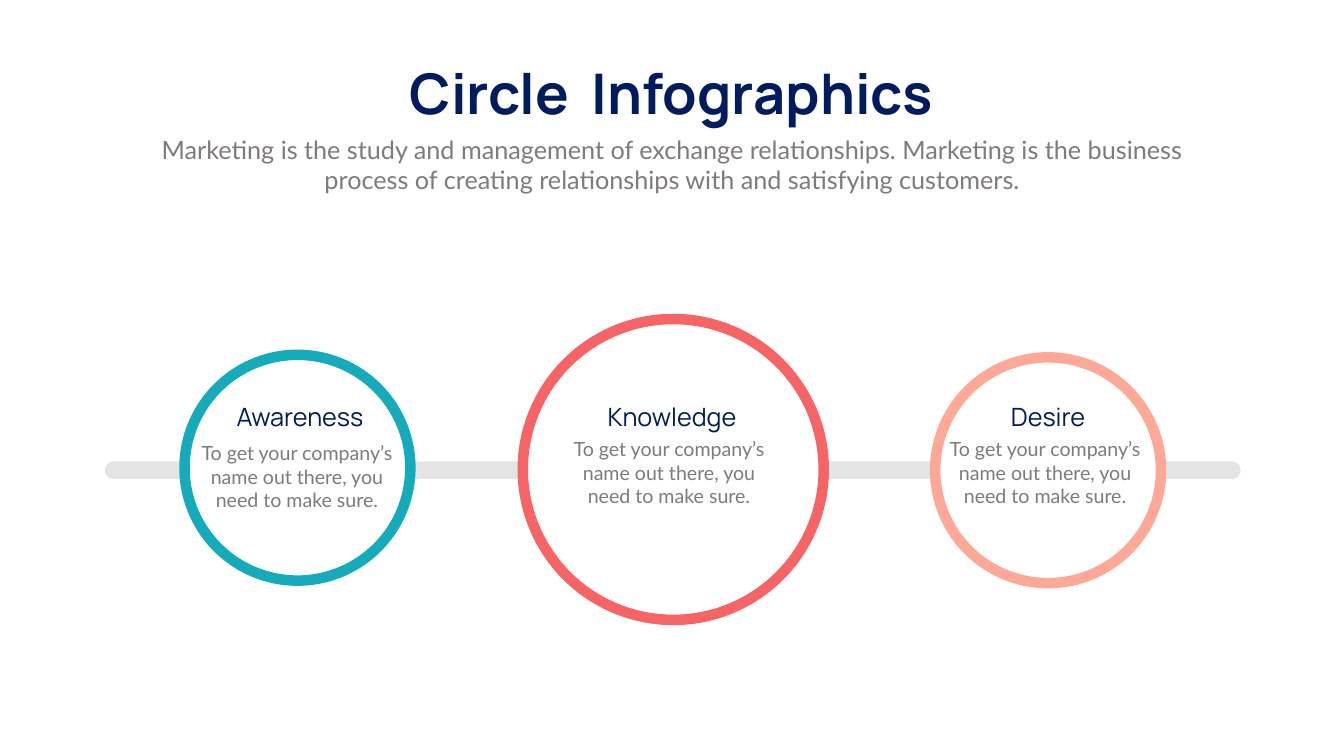
from dataclasses import dataclass

from pptx import Presentation
from pptx.dml.color import RGBColor
from pptx.enum.shapes import MSO_SHAPE
from pptx.enum.text import MSO_AUTO_SIZE, PP_ALIGN
from pptx.util import Inches, Pt


@dataclass(frozen=True)
class Theme:
    navy: str = "001C5E"
    gray: str = "7F7A7E"
    white: str = "FFFFFF"
    track: str = "E5E4E5"
    teal: str = "16ABBA"
    red: str = "F76466"
    peach: str = "FEA998"
    head_font: str = "Manrope"
    body_font: str = "Lato"
    title_size: int = 80
    lead_size: int = 36
    body_size: int = 28
    track_width: int = 22
    ring_width: int = 15


T = Theme()
TITLE = {"name": T.head_font, "size": Pt(T.title_size), "bold": True}
LEAD = {"name": T.body_font, "size": Pt(T.lead_size)}
HEADING = {"name": T.head_font, "size": Pt(T.lead_size)}
BODY = {"name": T.body_font, "size": Pt(T.body_size)}

prs = Presentation()
prs.slide_width, prs.slide_height = Inches(26.66), Inches(15)
s = prs.slides.add_slide(prs.slide_layouts[6])


def add_text(text, left, top, width, height, font, color, wrap=True):
    box = s.shapes.add_textbox(Inches(left), Inches(top), Inches(width), Inches(height))
    tf = box.text_frame
    tf.word_wrap = wrap
    tf.auto_size = MSO_AUTO_SIZE.SHAPE_TO_FIT_TEXT
    tf.margin_left = tf.margin_right = Inches(0.05)
    p = tf.paragraphs[0]
    p.alignment = PP_ALIGN.CENTER
    r = p.add_run()
    r.text = text
    for key, value in font.items():
        setattr(r.font, key, value)
    r.font.color.rgb = RGBColor.from_string(color)


def add_outlined(kind, left, top, width, height, color, line_width):
    sp = s.shapes.add_shape(kind, Inches(left), Inches(top), Inches(width), Inches(height))
    sp.shadow.inherit = False
    sp.line.color.rgb = RGBColor.from_string(color)
    sp.line.width = Pt(line_width)
    return sp


# Title and lead
add_text("Circle  Infographics", 7.62, 1.12, 11.41, 1.45, TITLE, T.navy, wrap=False)
add_text("Marketing is the study and management of exchange relationships. "
         "Marketing is the business process of creating relationships with "
         "and satisfying customers.", 2.92, 2.61, 20.82, 1.31, LEAD, T.gray)

# Track behind the circles
track = add_outlined(MSO_SHAPE.ROUNDED_RECTANGLE, 2.23, 9.31, 22.23, 0.04, T.track, T.track_width)
track.adjustments[0] = 0.5
track.fill.background()

# Stages: heading, ring color, ring left, ring top, diameter, body left, body top
stages = [
    ("Awareness", T.teal, 3.66, 7.04, 4.48, 3.9, 8.7),
    ("Knowledge", T.red, 10.37, 6.33, 5.97, 11.28, 8.62),
    ("Desire", T.peach, 18.55, 7.09, 4.48, 18.74, 8.62),
]
heading_indent = 0.42
for heading, color, left, top, diameter, body_left, body_top in stages:
    ring = add_outlined(MSO_SHAPE.OVAL, left, top, diameter, diameter, color, T.ring_width)
    ring.fill.solid()
    ring.fill.fore_color.rgb = RGBColor.from_string(T.white)
    add_text("To get your company’s name out there, you need to make sure.",
             body_left, body_top, 3.98, 1.99, BODY, T.gray)
    add_text(heading, body_left + heading_indent, 7.91, 3.26, 0.71, HEADING, T.navy)

prs.save("out.pptx")
